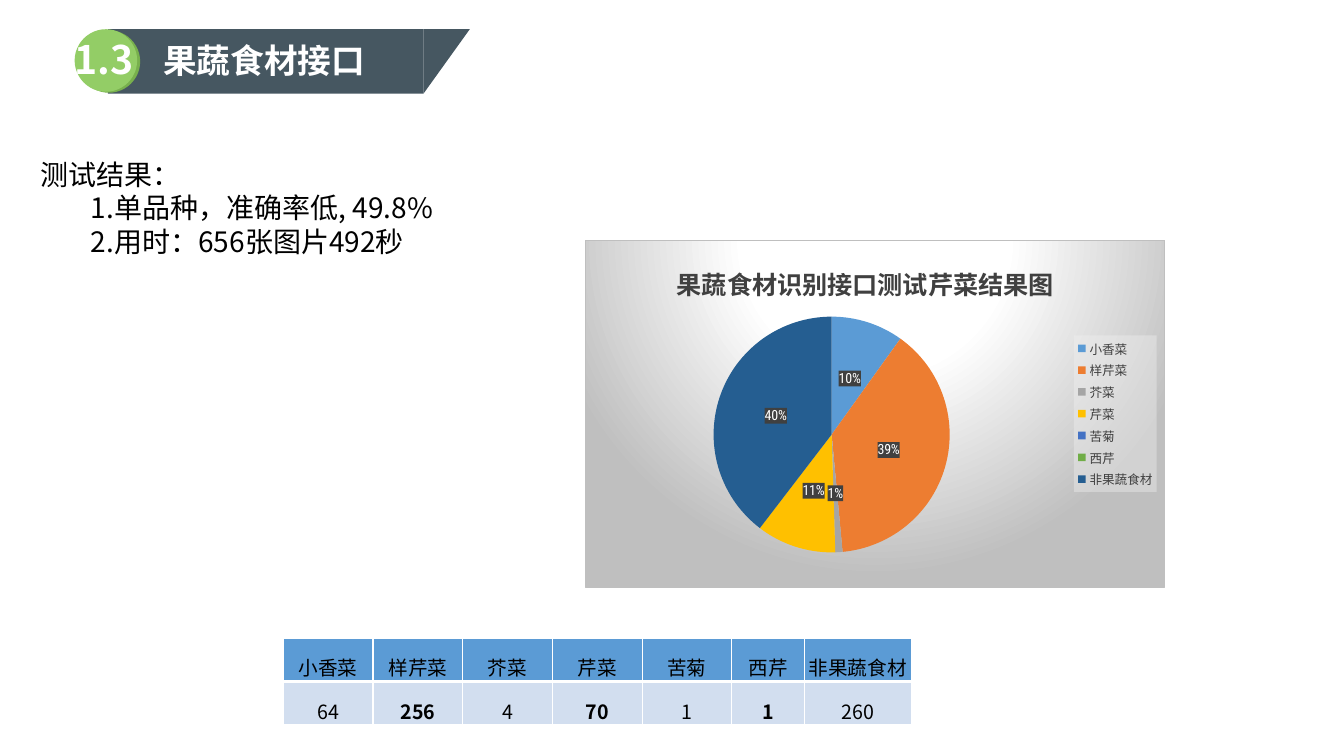
from dataclasses import dataclass

from lxml.etree import SubElement
from pptx import Presentation
from pptx.chart.data import CategoryChartData
from pptx.dml.color import RGBColor
from pptx.enum.chart import XL_CHART_TYPE, XL_LABEL_POSITION as LabelPos, XL_LEGEND_POSITION as LegendPos
from pptx.enum.shapes import MSO_SHAPE as Shape
from pptx.enum.text import MSO_ANCHOR as Anchor, MSO_AUTO_SIZE as AutoSize, PP_ALIGN as Align
from pptx.oxml import parse_xml
from pptx.oxml.ns import nsdecls, qn
from pptx.util import Inches, Pt

BLACK = RGBColor(0x00, 0x00, 0x00)
WHITE = RGBColor(0xFF, 0xFF, 0xFF)
SLATE = RGBColor(0x46, 0x57, 0x61)
DARK_GREEN = RGBColor(0x78, 0xB0, 0x4D)
LIGHT_GREEN = RGBColor(0x93, 0xCD, 0x66)
HEADER_BLUE = RGBColor(0x5B, 0x9B, 0xD5)
PALE_BLUE = RGBColor(0xD2, 0xDE, 0xEF)
CHART_GREY = RGBColor(0x40, 0x40, 0x40)
TEXT_FONT = "Noto Sans CJK SC"
CHART_FONT = "Roboto Condensed"


@dataclass
class Vegetable:
    name: str
    count: int
    percent: int
    colour: RGBColor
    column_width: float = 0.89
    bold: bool = False


@dataclass
class BannerPart:
    kind: Shape
    left: float
    top: float
    width: float
    height: float
    colour: RGBColor


VEGETABLES = [
    Vegetable("小香菜", 64, 10, HEADER_BLUE),
    Vegetable("样芹菜", 256, 39, RGBColor(0xED, 0x7D, 0x31), bold=True),
    Vegetable("芥菜", 4, 1, RGBColor(0xA5, 0xA5, 0xA5)),
    Vegetable("芹菜", 70, 11, RGBColor(0xFF, 0xC0, 0x00), bold=True),
    Vegetable("苦菊", 1, 0, RGBColor(0x44, 0x72, 0xC4)),
    Vegetable("西芹", 1, 0, RGBColor(0x70, 0xAD, 0x47), 0.72, True),
    Vegetable("非果蔬食材", 260, 40, RGBColor(0x25, 0x5E, 0x91), 1.06),
]
BANNER = [
    BannerPart(Shape.RECTANGLE, 1.07, 0.29, 3.13, 0.64, SLATE),
    BannerPart(Shape.OVAL, 0.77, 0.3, 0.62, 0.62, DARK_GREEN),
    BannerPart(Shape.OVAL, 0.74, 0.29, 0.62, 0.62, LIGHT_GREEN),
    BannerPart(Shape.ISOSCELES_TRIANGLE, 4.2, 0.29, 0.46, 0.64, SLATE),
]
RESULTS = [("测试结果：", 0), ("1.单品种，准确率低, 49.8%", 1), ("2.用时：656张图片492秒", 1)]


def place(shape, left: float, top: float, width: float, height: float) -> None:
    shape.left, shape.top = Inches(left), Inches(top)
    shape.width, shape.height = Inches(width), Inches(height)


def add_run(paragraph, text: str, size: int, colour: RGBColor, bold: bool = False) -> None:
    run = paragraph.add_run()
    run.text = text
    run.font.size, run.font.bold = Pt(size), bold
    run.font.color.rgb = colour
    run.font.name = TEXT_FONT
    SubElement(run.font._element, qn("a:ea")).set("typeface", TEXT_FONT)


def write_heading(box, text: str, size: int) -> None:
    frame = box.text_frame
    frame.word_wrap = False
    frame.auto_size = AutoSize.SHAPE_TO_FIT_TEXT
    frame.vertical_anchor = Anchor.TOP
    frame.paragraphs[0].alignment = Align.LEFT
    add_run(frame.paragraphs[0], text, size, WHITE, True)


def add_banner(slide) -> None:
    group = slide.shapes.add_group_shape()
    for part in BANNER:
        shape = group.shapes.add_shape(part.kind, Inches(part.left), Inches(part.top),
                                       Inches(part.width), Inches(part.height))
        shape.shadow.inherit = False
        shape.fill.solid()
        shape.fill.fore_color.rgb = part.colour
        shape.line.fill.background()
        if part.kind == Shape.ISOSCELES_TRIANGLE:
            shape.adjustments[0] = 0
            shape._element.spPr.find(qn("a:xfrm")).set("flipV", "1")
    number = group.shapes.add_textbox(Inches(0.64), Inches(0.3), Inches(0.79), Inches(0.57))
    write_heading(number, "1.3", 28)

    title = slide.shapes.title
    place(title, 1.52, 0.35, 2.2, 0.5)
    write_heading(title, "果蔬食材接口", 24)
    title.text_frame.margin_right = 0  # room for all six characters on one line
    slide.shapes._spTree.append(title._element)  # in front of the banner


def write_results(body) -> None:
    place(body, 0.3, 1.18, 5.5, 1.45)
    frame = body.text_frame
    frame.word_wrap = True
    frame.auto_size = AutoSize.SHAPE_TO_FIT_TEXT
    frame.vertical_anchor = Anchor.TOP
    frame.margin_top = Inches(0.38)
    for index, (text, level) in enumerate(RESULTS):
        paragraph = frame.add_paragraph() if index else frame.paragraphs[0]
        paragraph.level = level
        paragraph.alignment = Align.JUSTIFY
        paragraph.space_before = Pt(0)
        properties = paragraph._p.get_or_add_pPr()
        properties.set("marL", str(Inches(0.5 * level)))
        properties.set("indent", "0")
        SubElement(properties, qn("a:buNone"))
        add_run(paragraph, text, 20, BLACK)


def set_background(chart_part, paint: str) -> None:
    """Put a shape format just ahead of the part's text format."""
    chart_part.find(qn("c:txPr")).addprevious(
        parse_xml(f'<c:spPr {nsdecls("c", "a")}>{paint}</c:spPr>'))


def set_layout(chart_part, index: int, **settings: str | float) -> None:
    """Replace the part's automatic layout by a fixed one, as child number index."""
    for automatic in chart_part.findall(qn("c:layout")):
        chart_part.remove(automatic)
    values = "".join(f'<c:{key} val="{value}"/>' for key, value in settings.items())
    chart_part.insert(index, parse_xml(
        f'<c:layout {nsdecls("c")}><c:manualLayout>{values}</c:manualLayout></c:layout>'))


def solid(colour: RGBColor, alpha: int) -> str:
    return f'<a:solidFill><a:srgbClr val="{colour}"><a:alpha val="{alpha}000"/></a:srgbClr></a:solidFill>'


def set_font(font, size: int, colour: RGBColor, bold: bool = False) -> None:
    font.name, font.size, font.bold = CHART_FONT, Pt(size), bold
    font.color.rgb = colour


def add_pie(slide) -> None:
    data = CategoryChartData()
    data.categories = [vegetable.name for vegetable in VEGETABLES]
    data.add_series("Series 1", [vegetable.percent for vegetable in VEGETABLES])
    chart = slide.shapes.add_chart(XL_CHART_TYPE.PIE, Inches(5.8), Inches(2.38),
                                   Inches(5.76), Inches(3.45), data).chart
    set_font(chart.font, 10, BLACK)
    stops = "".join(f'<a:gs pos="{pos}000"><a:srgbClr val="{colour}"/></a:gs>'
                    for pos, colour in [(0, "FFFFFF"), (39, "FFFFFF"), (100, "BFBFBF")])
    set_background(chart._chartSpace, f'<a:gradFill><a:gsLst>{stops}</a:gsLst><a:path path="circle">'
                   '<a:fillToRect l="50000" t="-80000" r="50000" b="180000"/></a:path></a:gradFill>'
                   '<a:ln w="9525"><a:solidFill><a:srgbClr val="BFBFBF"/></a:solidFill></a:ln>')

    chart.has_title = True
    heading = chart.chart_title.text_frame.paragraphs[0].add_run()
    heading.text = "果蔬食材识别接口测试芹菜结果图"
    set_font(heading.font, 18, CHART_GREY, True)
    set_layout(chart.chart_title._element, 1, xMode="edge", yMode="edge", x=0.15, y=0.05)

    chart.has_legend = True
    chart.legend.position = LegendPos.RIGHT
    chart.legend.include_in_layout = False
    set_font(chart.legend.font, 9, CHART_GREY)
    set_background(chart.legend._element, solid(RGBColor(0xF2, 0xF2, 0xF2), 39))

    plot = chart.plots[0]
    plot.vary_by_categories = True
    for index, vegetable in enumerate(VEGETABLES):
        fill = plot.series[0].points[index].format.fill
        fill.solid()
        fill.fore_color.rgb = vegetable.colour
    labels = plot.series[0].data_labels
    labels.show_percentage, labels.show_value = True, False
    labels.number_format, labels.number_format_is_linked = "0%", False
    labels.position = LabelPos.CENTER
    set_font(labels.font, 10, WHITE)
    set_background(labels._element, solid(CHART_GREY, 90))
    set_layout(chart._chartSpace.chart.plotArea, 0, layoutTarget="inner",
               xMode="edge", yMode="edge", x=0.22, y=0.22, w=0.41, h=0.68)


def fill_cell(cell, text: str, fill: RGBColor, bold: bool, borders: dict[str, int]) -> None:
    cell.margin_left = cell.margin_right = cell.margin_top = cell.margin_bottom = 0
    cell.vertical_anchor = Anchor.BOTTOM
    paragraph = cell.text_frame.paragraphs[0]
    paragraph.alignment = Align.CENTER
    add_run(paragraph, text, 14, BLACK, bold)
    properties = cell._tc.get_or_add_tcPr()
    for side, points in borders.items():
        line = SubElement(properties, qn(f"a:ln{side}"), w=str(Pt(points)))
        SubElement(SubElement(line, qn("a:solidFill")), qn("a:srgbClr"), val=str(WHITE))
    cell.fill.solid()
    cell.fill.fore_color.rgb = fill


def add_count_table(slide) -> None:
    table = slide.shapes.add_table(2, len(VEGETABLES), Inches(2.81), Inches(6.33),
                                   Inches(6.22), Inches(0.85)).table
    for row in table.rows:
        row.height = Inches(0.43)
    for column, vegetable in enumerate(VEGETABLES):
        table.columns[column].width = Inches(vegetable.column_width)
        fill_cell(table.cell(0, column), vegetable.name, HEADER_BLUE, False,
                  {"L": 1, "R": 1, "T": 1, "B": 3})
        fill_cell(table.cell(1, column), str(vegetable.count), PALE_BLUE, vegetable.bold,
                  {"L": 1, "R": 1, "T": 3, "B": 1})


def main() -> None:
    deck = Presentation()
    deck.slide_width, deck.slide_height = Inches(13.33), Inches(7.5)
    slide = deck.slides.add_slide(deck.slide_layouts[1])
    add_count_table(slide)
    add_banner(slide)
    write_results(slide.placeholders[1])
    add_pie(slide)
    deck.save("out.pptx")


if __name__ == "__main__":
    main()
